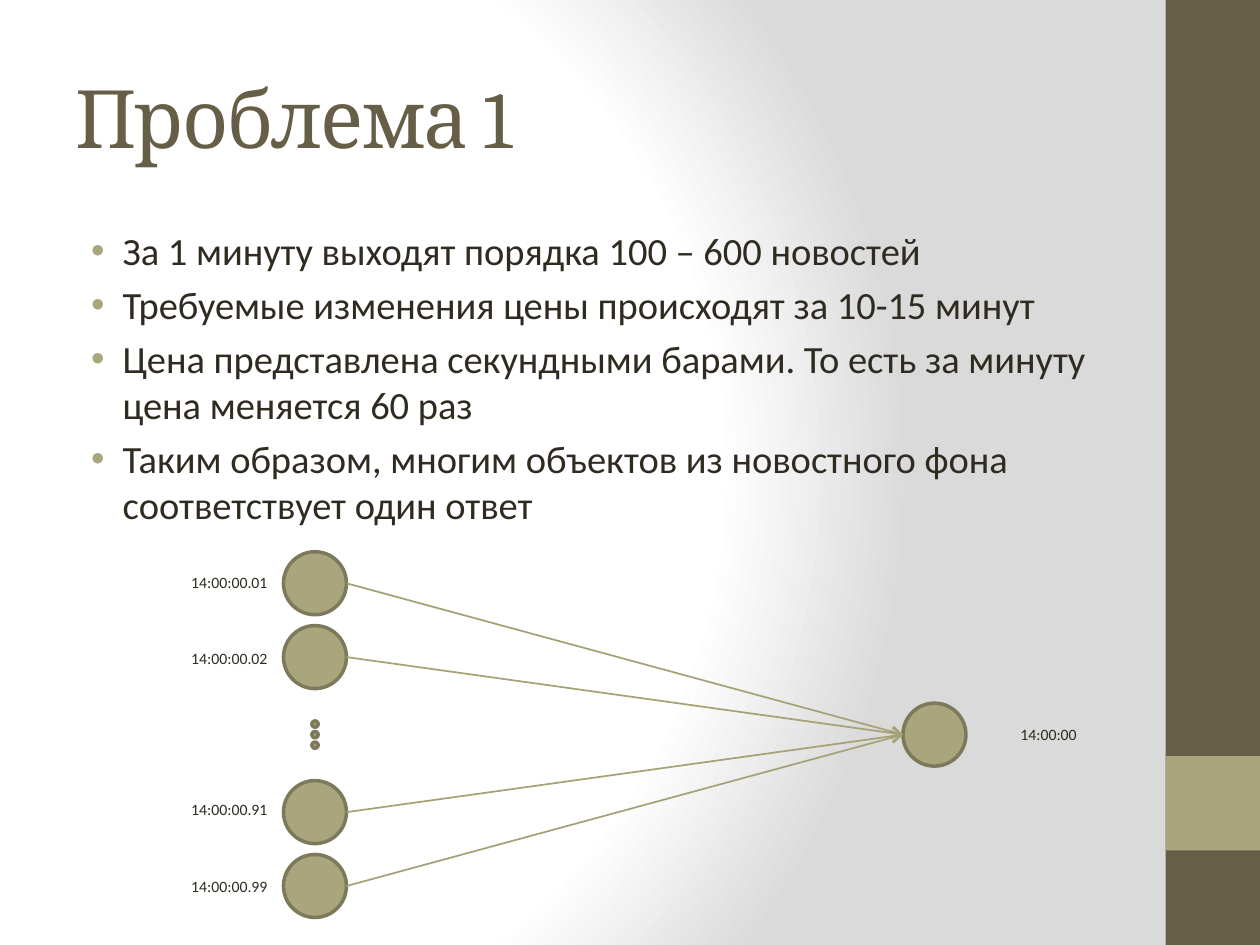
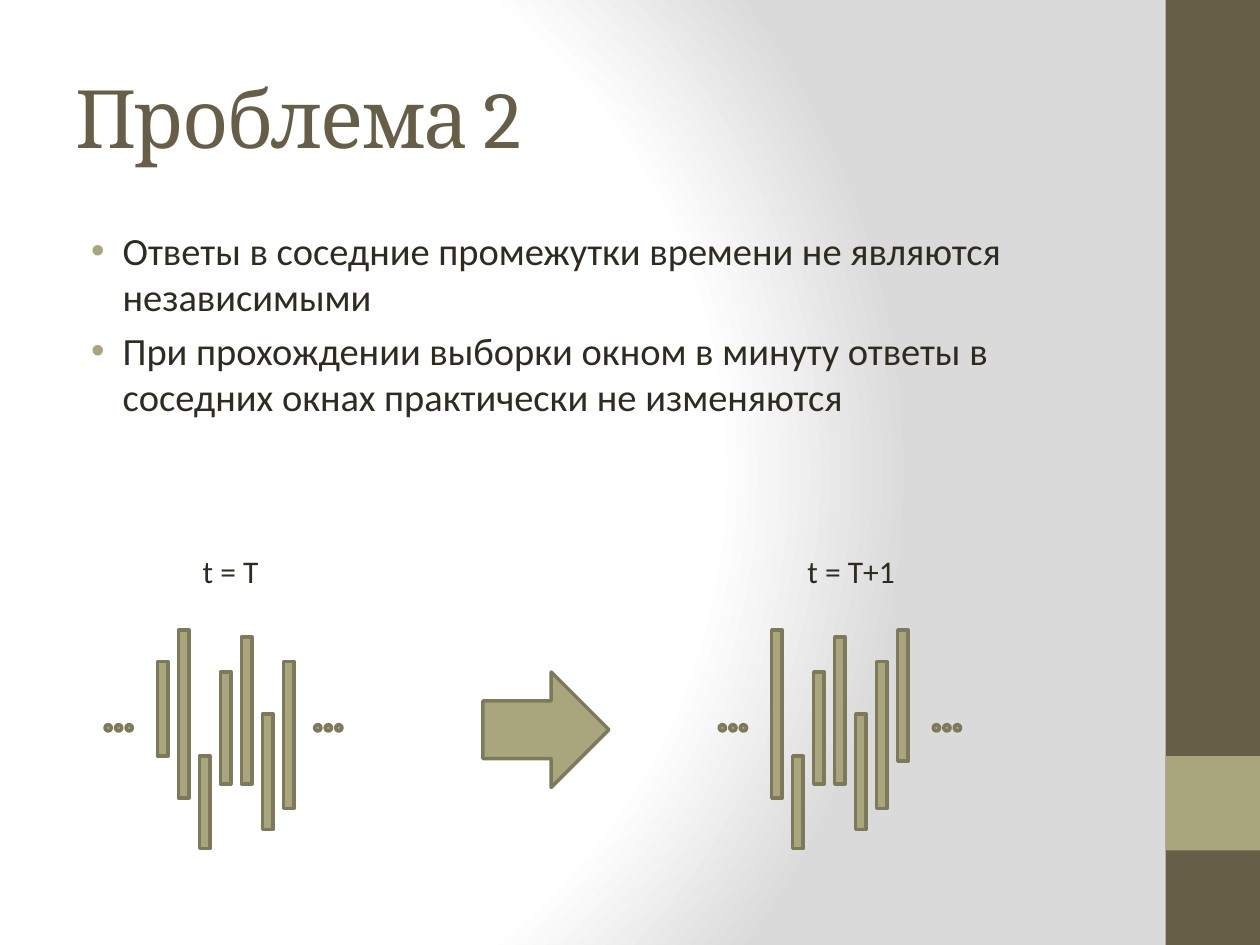
"""Build two slides on the problems of matching news to price bars."""
from dataclasses import dataclass

from lxml import etree
from pptx import Presentation
from pptx.dml.color import RGBColor
from pptx.enum.shapes import MSO_CONNECTOR, MSO_SHAPE
from pptx.enum.text import MSO_ANCHOR, MSO_AUTO_SIZE
from pptx.oxml import parse_xml
from pptx.oxml.ns import nsdecls, qn
from pptx.util import Pt

RECT, OVAL, ARROW = MSO_SHAPE.RECTANGLE, MSO_SHAPE.OVAL, MSO_SHAPE.RIGHT_ARROW
STRAIGHT = MSO_CONNECTOR.STRAIGHT
MIDDLE, TOP = MSO_ANCHOR.MIDDLE, MSO_ANCHOR.TOP
FIT_SHAPE, NO_FIT = MSO_AUTO_SIZE.SHAPE_TO_FIT_TEXT, MSO_AUTO_SIZE.NONE


@dataclass(frozen=True)
class Theme:
    brown: str = "675E47"
    olive: str = "A9A57C"
    outline: str = "7D7A5C"
    link: str = "A6A278"
    ink: str = "2F2B20"
    glow: str = "FFFFFF"
    shade: str = "DADADA"
    heading_font: str = "Cambria"
    body_font: str = "Calibri"
    title_size: float = 46
    body_size: float = 22
    caption_size: float = 18
    time_size: float = 9


THEME = Theme()
NODE = 36
DOT = 3.6
DOT_PITCH = 6
BAR_WIDTH = 6
BAR_PITCH = 12
BARS = [(378, 54), (360, 96), (432, 53), (384, 64), (364, 84), (408, 66), (378, 84)]
NEXT_BAR = (360, 75)


def points(*lengths):
    return [Pt(length) for length in lengths]


def set_background(slide):
    slide.background.fill.solid()
    properties = slide.element.find(".//" + qn("p:bgPr"))
    stops = "".join(
        f'<a:gs pos="{pos}"><a:srgbClr val="{color}"/></a:gs>'
        for pos, color in [(0, THEME.glow), (75000, THEME.glow), (100000, THEME.shade)]
    )
    gradient = parse_xml(
        f'<a:gradFill {nsdecls("a")} rotWithShape="1"><a:gsLst>{stops}</a:gsLst>'
        '<a:path path="circle">'
        '<a:fillToRect l="20000" t="50000" r="100000" b="50000"/>'
        "</a:path></a:gradFill>"
    )
    properties.replace(properties.find(qn("a:solidFill")), gradient)


def add_figure(shapes, preset, box, fill=THEME.olive, outline=THEME.outline):
    figure = shapes.add_shape(preset, *points(*box))
    figure.shadow.inherit = False
    figure.fill.solid()
    figure.fill.fore_color.rgb = RGBColor.from_string(fill)
    if outline:
        figure.line.color.rgb = RGBColor.from_string(outline)
        figure.line.width = Pt(2)
    else:
        figure.line.fill.background()


def add_circle(shapes, x, y, diameter):
    add_figure(shapes, OVAL, (x - diameter / 2, y - diameter / 2, diameter, diameter))


def add_ellipsis(shapes, x, y, vertical=False):
    for step in (-DOT_PITCH, 0, DOT_PITCH):
        add_circle(shapes, x + step * (not vertical), y + step * vertical, DOT)


def add_run(paragraph, text, size, font=THEME.body_font, color=THEME.ink):
    run = paragraph.add_run()
    run.text = text
    run.font.size = Pt(size)
    run.font.name = font
    run.font.color.rgb = RGBColor.from_string(color)
    return run


def add_frame(shapes, box, wrap=True, anchor=TOP):
    frame = shapes.add_textbox(*points(*box)).text_frame
    frame.word_wrap = wrap
    frame.auto_size = NO_FIT if wrap else FIT_SHAPE
    frame.vertical_anchor = anchor
    return frame


def add_label(shapes, text, box, size):
    add_run(add_frame(shapes, box, wrap=False).paragraphs[0], text, size)


def add_title(slide, text):
    frame = add_frame(slide.shapes, (36, 21.6, 600, 90), anchor=MIDDLE)
    run = add_run(frame.paragraphs[0], text, THEME.title_size,
                  THEME.heading_font, THEME.brown)
    run.font._element.set("spc", "-100")


def add_bullets(slide, items):
    frame = add_frame(slide.shapes, (36, 126, 600, 378))
    for index, item in enumerate(items):
        paragraph = frame.add_paragraph() if index else frame.paragraphs[0]
        paragraph.space_before = Pt(4.5)
        add_run(paragraph, item, THEME.body_size)
        properties = paragraph._p.get_or_add_pPr()
        properties.set("marL", str(Pt(27)))
        properties.set("indent", str(-Pt(18)))
        color = etree.SubElement(properties, qn("a:buClr"))
        etree.SubElement(color, qn("a:srgbClr"), val=THEME.olive)
        etree.SubElement(properties, qn("a:buFont"), typeface="Arial")
        etree.SubElement(properties, qn("a:buChar"), char="•")


def add_arrow(shapes, start, end):
    arrow = shapes.add_connector(STRAIGHT, *points(*start, *end))
    arrow.line.color.rgb = RGBColor.from_string(THEME.link)
    arrow.line.width = Pt(1)
    line = arrow.line._get_or_add_ln()
    etree.SubElement(line, qn("a:tailEnd"), type="arrow")
    etree.SubElement(arrow._element.spPr, qn("a:effectLst"))


def add_problem_slide(deck, title, bullets):
    slide = deck.slides.add_slide(deck.slide_layouts[6])
    set_background(slide)
    add_figure(slide.shapes, RECT, (666, 0, 54, 540), THEME.brown, None)
    add_figure(slide.shapes, RECT, (666, 432, 54, 54), THEME.olive, None)
    add_title(slide, title)
    add_bullets(slide, bullets)
    return slide


def add_news_mapping(slide):
    shapes = slide.shapes.add_group_shape().shapes
    news_x, answer_x, middle = 180, 534, 419.8
    news = [
        ("14:00:00.01", -86.5, 324),
        ("14:00:00.02", -44.3, 367.2),
        ("14:00:00.91", 44.3, 453.6),
        ("14:00:00.99", 86.5, 497.5),
    ]
    add_circle(shapes, answer_x, middle, NODE)
    add_label(shapes, "14:00:00", (576, 410.4, 46.8, 18), THEME.time_size)
    add_ellipsis(shapes, news_x, middle, vertical=True)
    for time, offset, label_top in news:
        y = middle + offset
        add_circle(shapes, news_x, y, NODE)
        add_arrow(shapes, (news_x + NODE / 2, y), (answer_x - NODE / 2, middle))
        add_label(shapes, time, (102.2, label_top, 58.3, 18), THEME.time_size)


def add_window(slide, left, bars, ellipsis_centers):
    shapes = slide.shapes.add_group_shape().shapes
    for index, (top, height) in enumerate(bars):
        add_figure(shapes, RECT, (left + index * BAR_PITCH, top, BAR_WIDTH, height))
    for x in ellipsis_centers:
        add_ellipsis(shapes, x, 415.9)


def main():
    deck = Presentation()
    deck.slide_width, deck.slide_height = points(720, 540)

    mapping = add_problem_slide(deck, "Проблема 1", [
        "За 1 минуту выходят порядка 100 – 600 новостей",
        "Требуемые изменения цены происходят за 10-15 минут",
        "Цена представлена секундными барами. То есть за минуту цена меняется 60 раз",
        "Таким образом, многим объектов из новостного фона соответствует один ответ",
    ])
    add_news_mapping(mapping)

    windows = add_problem_slide(deck, "Проблема 2", [
        "Ответы в соседние промежутки времени не являются независимыми",
        "При прохождении выборки окном в минуту ответы в соседних окнах "
        "практически не изменяются",
    ])
    add_window(windows, 90, BARS, (67.8, 187.6))
    add_window(windows, 441, BARS[1:] + [NEXT_BAR], (418.8, 541.1))
    add_figure(windows.shapes, ARROW, (276, 384, 72, 66))
    add_label(windows.shapes, "t = T", (108.7, 312, 46.8, 29), THEME.caption_size)
    add_label(windows.shapes, "t = T+1", (454.3, 312, 64.8, 29), THEME.caption_size)

    deck.save("out.pptx")


if __name__ == "__main__":
    main()
